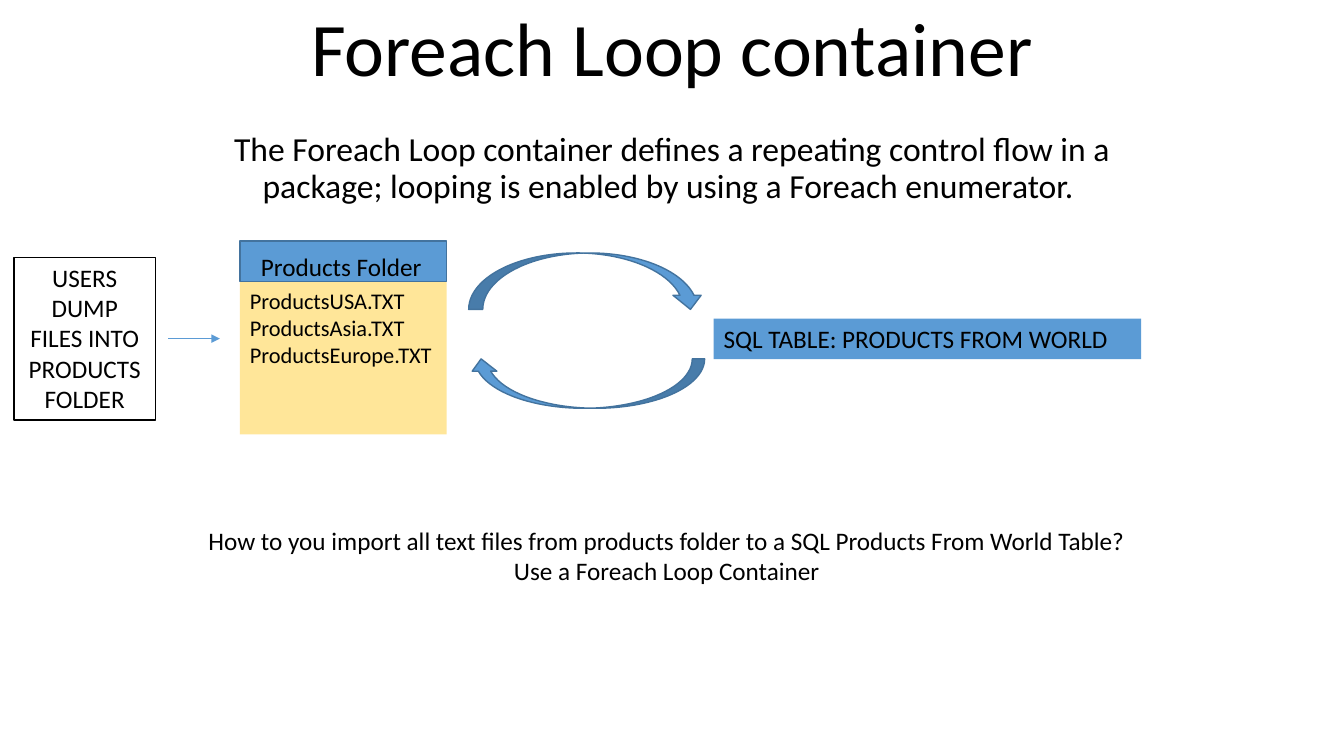
from dataclasses import dataclass
from typing import NamedTuple, Optional

from lxml import etree
from pptx import Presentation
from pptx.dml.color import RGBColor
from pptx.enum import shapes, text
from pptx.oxml import ns
from pptx.util import Pt


@dataclass(frozen=True)
class Theme:
    font: str = "Calibri"
    ink: str = "000000"
    blue: str = "5B9BD5"
    blue_edge: str = "43739E"
    yellow: str = "FFE699"
    title: float = 54
    lead: float = 24
    body: float = 18
    files: float = 16


class Box(NamedTuple):
    left: float
    top: float
    width: float
    height: float


class Panel(NamedTuple):
    box: Box
    fill: Optional[str] = None
    edge: Optional[str] = None
    edge_width: float = 1
    kind: shapes.MSO_SHAPE = shapes.MSO_SHAPE.RECTANGLE
    turned: bool = False


class Caption(NamedTuple):
    box: Box
    lines: tuple[str, ...]
    size: float
    align: text.PP_ALIGN = text.PP_ALIGN.LEFT
    anchor: text.MSO_ANCHOR = text.MSO_ANCHOR.TOP
    line_spacing: float = 1
    space_before: float = 0


THEME = Theme()
CENTER = text.PP_ALIGN.CENTER


def write(frame, lines, *, size, align=text.PP_ALIGN.LEFT,
          anchor=text.MSO_ANCHOR.TOP, line_spacing=1, space_before=0):
    frame.word_wrap = True
    frame.vertical_anchor = anchor
    for index, line in enumerate(lines):
        paragraph = frame.add_paragraph() if index else frame.paragraphs[0]
        paragraph.alignment = align
        paragraph.line_spacing = line_spacing
        paragraph.space_before = Pt(space_before)
        run = paragraph.add_run()
        run.text = line
        run.font.name = THEME.font
        run.font.size = Pt(size)
        run.font.color.rgb = RGBColor.from_string(THEME.ink)


def draw_panel(slide, panel: Panel):
    shape = slide.shapes.add_shape(panel.kind, *map(Pt, panel.box))
    shape.shadow.inherit = False
    if panel.fill:
        shape.fill.solid()
        shape.fill.fore_color.rgb = RGBColor.from_string(panel.fill)
    else:
        shape.fill.background()
    if panel.edge:
        shape.line.color.rgb = RGBColor.from_string(panel.edge)
        shape.line.width = Pt(panel.edge_width)
    else:
        shape.line.fill.background()
    if panel.turned:
        shape.rotation = 180
        shape._element.spPr.xfrm.set("flipV", "1")
    return shape


def draw_caption(slide, caption: Caption) -> None:
    frame = slide.shapes.add_textbox(*map(Pt, caption.box)).text_frame
    box, lines, *_ = caption
    style = caption._asdict()
    del style["box"], style["lines"]
    write(frame, lines, **style)


def draw_arrow(slide, start: float, end: float, level: float) -> None:
    arrow = slide.shapes.add_connector(
        shapes.MSO_CONNECTOR.STRAIGHT, Pt(start), Pt(level), Pt(end), Pt(level))
    arrow.line.color.rgb = RGBColor.from_string(THEME.blue)
    arrow.line.width = Pt(0.5)
    etree.SubElement(arrow.line._get_or_add_ln(), ns.qn("a:tailEnd"), type="triangle")
    etree.SubElement(arrow._element.spPr, ns.qn("a:effectLst"))


deck = Presentation()
deck.slide_width, deck.slide_height = Pt(960), Pt(540)
slide = deck.slides.add_slide(deck.slide_layouts[6])

content_left, content_width = 120, 720
folder_left, folder_width = 171.4, 147.6
loop_left, loop_width = 334.8, 168.5

headings = [
    Caption(Box(content_left, 17.3, content_width, 52.5), ("Foreach Loop container",),
            THEME.title, CENTER, text.MSO_ANCHOR.BOTTOM, 0.9),
    Caption(Box(content_left, 91.4, content_width, 410.4),
            ("The Foreach Loop container defines a repeating control flow in a "
             "package; looping is enabled by using a Foreach enumerator. ",),
            THEME.lead, CENTER, line_spacing=0.9, space_before=10),
]
folder_label = Caption(Box(179.3, 175.7, 130.3, 29), ("Products Folder",), THEME.body)
question = Caption(
    Box(138.2, 371.5, 676.1, 51),
    ("How to you import all text files from products folder to a SQL Products From World Table?",
     "Use a Foreach Loop Container"),
    THEME.body, CENTER)

file_list = Panel(Box(folder_left, 201.6, folder_width, 108.7), THEME.yellow)
folder_header = Panel(Box(folder_left, 172.1, folder_width, 29), THEME.blue, THEME.blue_edge)
sql_table = Panel(Box(509.8, 227.5, 305.3, 29), THEME.blue)
users = Panel(Box(10, 183.7, 101, 116.3), None, THEME.ink, 0.75)
loop = [
    Panel(Box(loop_left, 256.3, loop_width, 35.3), THEME.blue, THEME.blue_edge,
          kind=shapes.MSO_SHAPE.CURVED_UP_ARROW, turned=True),
    Panel(Box(loop_left, 180.7, loop_width, 40.3), THEME.blue, THEME.blue_edge,
          kind=shapes.MSO_SHAPE.CURVED_DOWN_ARROW),
]

for heading in headings:
    draw_caption(slide, heading)
write(draw_panel(slide, file_list).text_frame,
      ("ProductsUSA.TXT", "ProductsAsia.TXT", "ProductsEurope.TXT"), size=THEME.files)
draw_panel(slide, folder_header)
draw_caption(slide, folder_label)
write(draw_panel(slide, sql_table).text_frame,
      ("SQL TABLE: PRODUCTS FROM WORLD",), size=THEME.body)
write(draw_panel(slide, users).text_frame,
      ("USERS DUMP FILES INTO PRODUCTS FOLDER",), size=THEME.body, align=CENTER)
draw_arrow(slide, 120.2, 157, 241.9)
draw_caption(slide, question)
for curve in loop:
    draw_panel(slide, curve)

deck.save("out.pptx")
